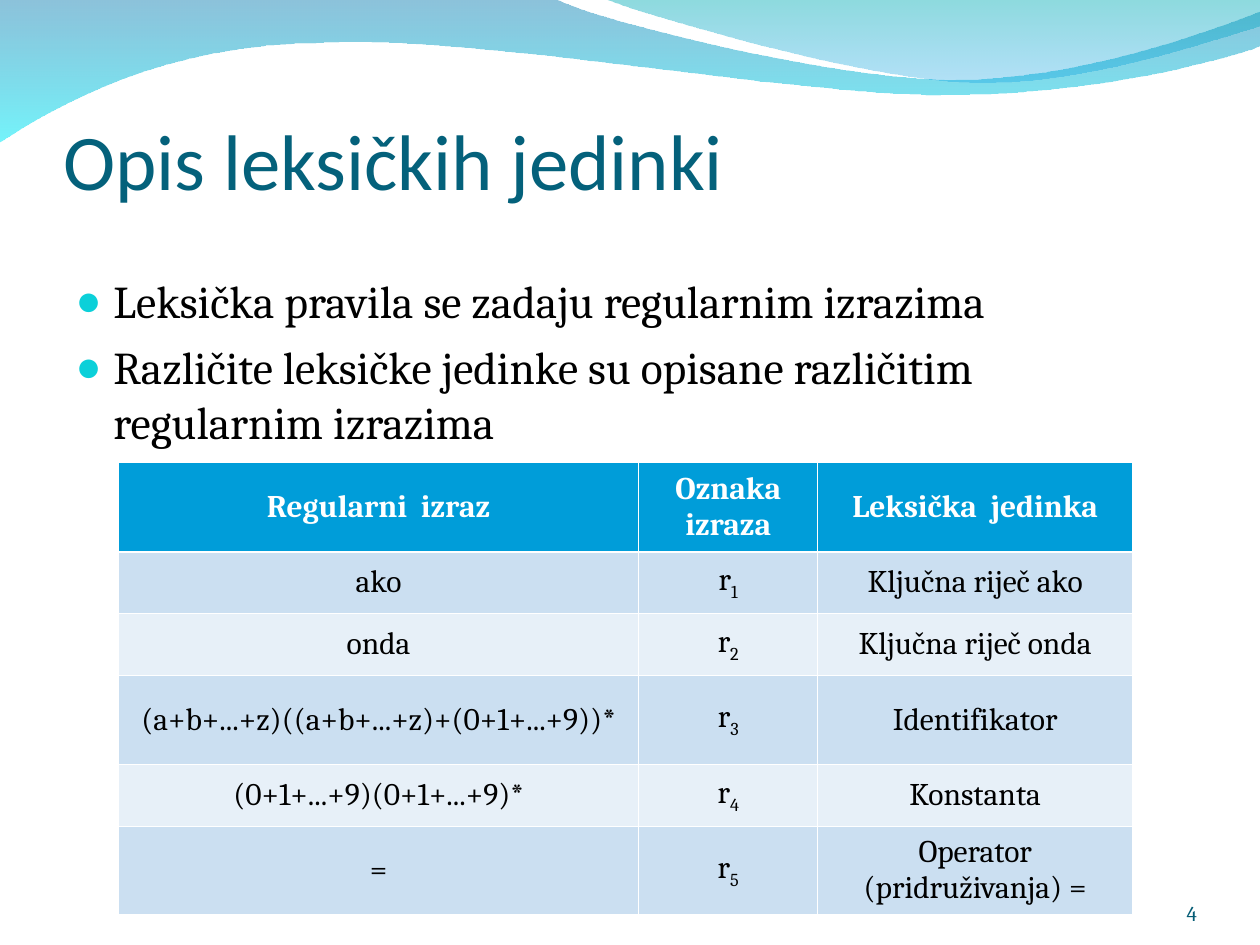
from lxml import etree
from pptx import Presentation
from pptx.dml.color import RGBColor
from pptx.enum import text
from pptx.oxml import ns
from pptx.util import Inches, Pt


def color(value):
    return RGBColor.from_string(value)


def add_xml(parent, tag, **attributes):
    return etree.SubElement(parent, ns.qn(tag), attributes)


deck = Presentation()
deck.slide_width, deck.slide_height = Inches(10), Inches(7.5)
page = deck.slides.add_slide(deck.slide_layouts[1])

# Waves: start point, then lines (one point) and Bezier curves (three points);
# gradient stops run from top to bottom as (colour, opacity in percent)
waves = [
    ((0, -0.01),
     [[(4.4, -0.01)],
      [(4.76, 0.17), (6.64, 0.63), (7.58, 0.63)],
      [(8.53, 0.63), (9.58, 0.26), (10, 0.09)],
      [(10.01, 0.36)],
      [(9.83, 0.44), (8.7, 0.76), (7.46, 0.75)],
      [(6.22, 0.75), (3.82, 0.28), (2.57, 0.34)],
      [(1.29, 0.35), (0.46, 0.83), (-0.01, 1.13)]],
     [("0079AF", 45), ("00EBF8", 55)]),
    ((4.79, -0.01),
     [[(5.09, 0.11), (6.82, 0.62), (7.69, 0.65)],
      [(8.56, 0.69), (9.61, 0.32), (10, 0.21)],
      [(10, 0)]],
     [("00ADB6", 45), ("009BE5", 30)]),
]
for layer, (start, segments, stops) in enumerate(waves):
    builder = page.shapes.build_freeform(*map(Inches, start))
    for segment in segments:
        builder.add_line_segments([(Inches(x), Inches(y)) for x, y in segment], close=False)
    builder.add_line_segments([], close=True)
    wave = builder.convert_to_shape()

    # Each run of three points becomes one curve
    lines = iter(list(wave._element.iter(ns.qn("a:lnTo"))))
    for segment in segments:
        steps = [next(lines) for point in segment]
        if len(steps) == 3:
            steps[0].tag = ns.qn("a:cubicBezTo")
            for step in steps[1:]:
                steps[0].append(step[0])
                step.getparent().remove(step)

    wave.shadow.inherit = False
    wave.line.fill.background()
    wave.fill.gradient()
    wave.fill.gradient_angle = 270
    for position, (stop, (value, opacity)) in enumerate(zip(wave.fill.gradient_stops, stops)):
        stop.position = position
        stop.color.rgb = color(value)
    shades = wave._element.spPr.iter(ns.qn("a:srgbClr"))
    for shade, (value, opacity) in zip(shades, stops):
        add_xml(shade, "a:alpha", val=str(opacity * 1000))
    page.shapes._spTree.insert(2 + layer, wave._element)  # behind the text

# Title
title = page.shapes.title
title.left, title.top, title.width, title.height = map(Inches, (0.5, 0.77, 9, 0.87))
frame = title.text_frame
frame.text = "Opis leksičkih jedinki"
frame.auto_size = text.MSO_AUTO_SIZE.NONE
frame.vertical_anchor = text.MSO_ANCHOR.BOTTOM
frame.margin_left = frame.margin_right = frame.margin_bottom = 0
frame.margin_top = Inches(0.05)
para = frame.paragraphs[0]
para.alignment = text.PP_ALIGN.LEFT
para.font.name, para.font.size = "Calibri", Pt(45)
para.font.color.rgb = color("04617B")

# Bullet list
body = page.placeholders[1]
body.left, body.top, body.width, body.height = map(Inches, (0.5, 2.12, 9, 4.8))
frame = body.text_frame
frame.text = ("Leksička pravila se zadaju regularnim izrazima\n"
              "Različite leksičke jedinke su opisane različitim regularnim izrazima")
frame.auto_size = text.MSO_AUTO_SIZE.NONE
for number, para in enumerate(frame.paragraphs):
    para.space_before = Pt(6.5 if number else 0)
    properties = para._p.get_or_add_pPr()
    properties.set("marL", str(Inches(0.3)))
    properties.set("indent", str(Inches(-0.3)))
    add_xml(add_xml(properties, "a:buClr"), "a:srgbClr", val="0BD0D9")
    add_xml(properties, "a:buSzPct", val="95000")
    add_xml(properties, "a:buChar", char="●")
    para.font.name, para.font.size = "Cambria", Pt(26)
    para.font.color.rgb = color("000000")

# Table of regular expressions and lexical units
rows = [
    ("Regularni  izraz", "Oznaka izraza", "Leksička  jedinka"),
    ("ako", "r1", "Ključna riječ ako"),
    ("onda", "r2", "Ključna riječ onda"),
    ("(a+b+...+z)((a+b+...+z)+(0+1+...+9))*", "r3", "Identifikator"),
    ("(0+1+...+9)(0+1+...+9)*", "r4", "Konstanta"),
    ("=", "r5", "Operator (pridruživanja) ="),
]
widths = (4.13, 1.42, 2.5)
heights = (0.71, 0.49, 0.49, 0.71, 0.49, 0.7)
table = page.shapes.add_table(len(rows), len(widths), Inches(0.94), Inches(3.67),
                              Inches(sum(widths)), Inches(sum(heights))).table
for column, width in zip(table.columns, widths):
    column.width = Inches(width)
for i, (row, height) in enumerate(zip(rows, heights)):
    table.rows[i].height = Inches(height)
    for j, words in enumerate(row):
        cell = table.cell(i, j)
        cell.vertical_anchor = text.MSO_ANCHOR.MIDDLE
        para = cell.text_frame.paragraphs[0]
        para.alignment = text.PP_ALIGN.CENTER
        para.font.name, para.font.size, para.font.bold = "Cambria", Pt(18), i == 0
        para.font.color.rgb = color("000000" if i else "FFFFFF")
        if i and j == 1:  # the index is a subscript
            para.add_run().text = words[0]
            span = para.add_run()
            span.text = words[1:]
            span._r.get_or_add_rPr().set("baseline", "-25000")
        else:
            para.add_run().text = words

        # Borders come before the fill; a thicker rule lies under the header
        properties = cell._tc.get_or_add_tcPr()
        for side in ("L", "R", "T", "B"):
            under_header = (i, side) in ((0, "B"), (1, "T"))
            border = add_xml(properties, f"a:ln{side}", w=str(Pt(1.47 if under_header else 0.45)))
            add_xml(add_xml(border, "a:solidFill"), "a:srgbClr", val="FFFFFF")
        cell.fill.solid()
        cell.fill.fore_color.rgb = color("009DD9" if i == 0 else "CBDFF1" if i % 2 else "E7F0F8")

# Page number
box = page.shapes.add_textbox(Inches(8.67), Inches(6.95), Inches(0.83), Inches(0.4))
frame = box.text_frame
frame.text = "4"
frame.word_wrap = True
frame.vertical_anchor = text.MSO_ANCHOR.BOTTOM
frame.margin_left = frame.margin_right = frame.margin_top = frame.margin_bottom = 0
para = frame.paragraphs[0]
para.alignment = text.PP_ALIGN.RIGHT
para.font.name, para.font.size = "Cambria", Pt(12)
para.font.color.rgb = color("045C75")

deck.save("out.pptx")
